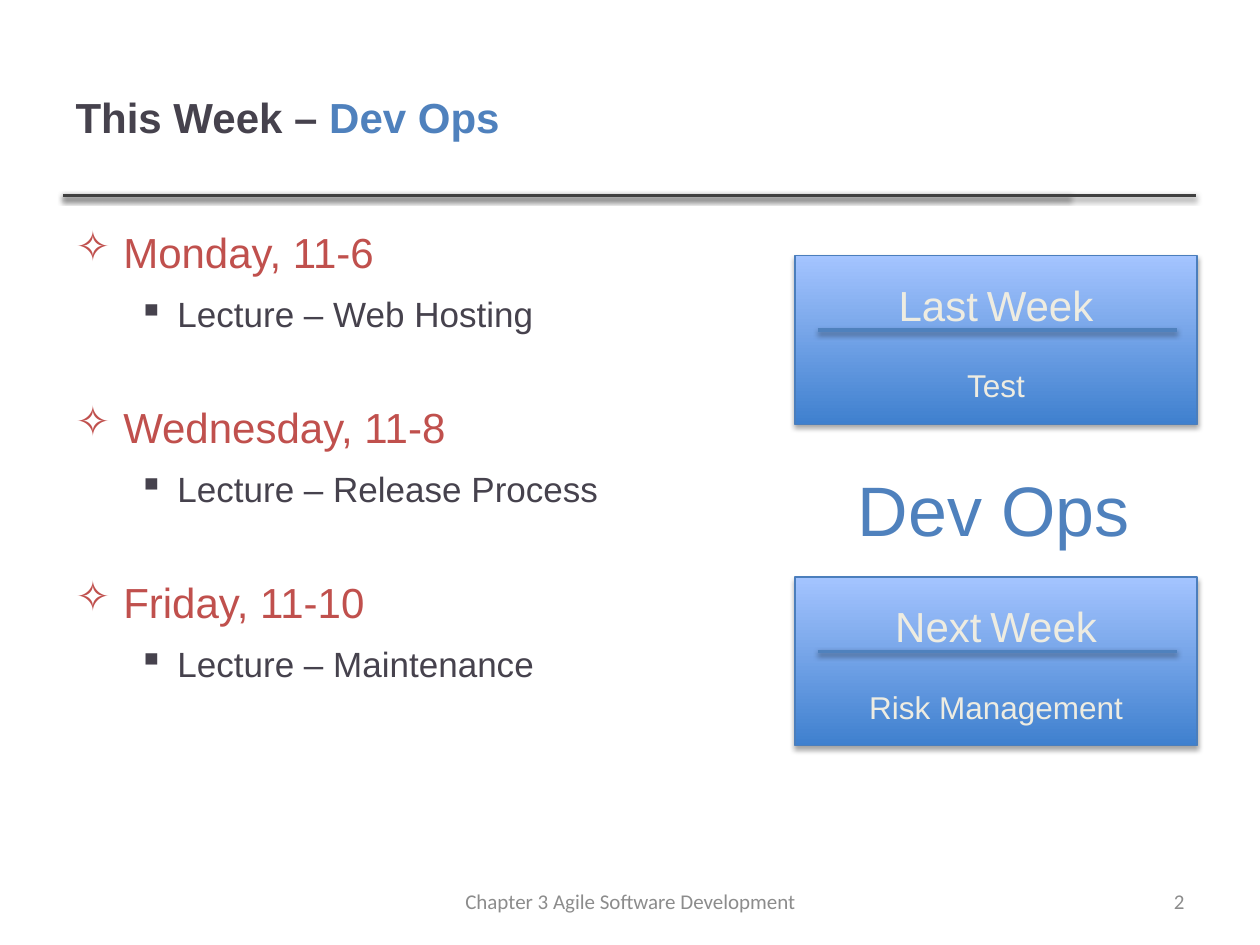
from lxml.etree import SubElement
from pptx import Presentation
from pptx.dml.color import RGBColor
from pptx.enum.shapes import MSO_CONNECTOR as Connector, MSO_SHAPE as Shape
from pptx.enum.text import MSO_ANCHOR as Anchor, PP_ALIGN as Align
from pptx.oxml.ns import qn
from pptx.util import Inches, Pt

WIDTH, HEIGHT = Inches(10), Inches(7.5)
COLUMNS, ROWS = 20, 15
INK, BLUE, RED, CREAM, GREY = "46424D", "4F81BD", "C0504D", "EEECE1", "8C8C8C"
SCHEDULE = [
    ("Monday, 11-6", "Lecture – Web Hosting"),
    ("Wednesday, 11-8", "Lecture – Release Process"),
    ("Friday, 11-10", "Lecture – Maintenance"),
]
PANELS = [("Next", "Risk Management", 9.16), ("Last", "Test", 4.06)]
PANEL_LEFT, PANEL_WIDTH = 12.62, 6.38


def color(value):
    return RGBColor.from_string(value)


def grid(left, top, width, height):
    across, down = WIDTH / COLUMNS, HEIGHT / ROWS
    return [round(n) for n in (left * across, top * down, width * across, height * down)]


def add_shadow(element, opacity, distance):
    properties = element._element.spPr
    for old in properties.findall(qn("a:effectLst")):
        properties.remove(old)
    effects = SubElement(properties, qn("a:effectLst"))
    shadow = SubElement(effects, qn("a:outerShdw"), blurRad=str(Pt(3.1)),
                        dist=str(Pt(distance)), dir="5400000", rotWithShape="0")
    black = SubElement(shadow, qn("a:srgbClr"), val="000000")
    SubElement(black, qn("a:alpha"), val=str(opacity * 1000))


def add_rule(shapes, left, right, row, hue):
    x, y, length, _ = grid(left, row, right - left, 0)
    rule = shapes.add_connector(Connector.STRAIGHT, x, y, x + length, y)
    rule.line.color.rgb = color(hue)
    rule.line.width = Pt(2)
    add_shadow(rule, 38, 1.6)


def write(paragraph, text, size=24, hue=INK, font="Arial", bold=False,
          align=Align.LEFT, before=0, after=0):
    paragraph.alignment = align
    paragraph.space_before, paragraph.space_after = Pt(before), Pt(after)
    run = paragraph.add_run()
    run.text = text
    run.font.size, run.font.name, run.font.bold = Pt(size), font, bold
    run.font.color.rgb = color(hue)


def add_frame(shapes, place, anchor=Anchor.TOP, wrap=True):
    frame = shapes.add_textbox(*grid(*place)).text_frame
    frame.word_wrap, frame.vertical_anchor = wrap, anchor
    return frame


def add_bullet(paragraph, mark, indent, hanging):
    properties = paragraph._p.get_or_add_pPr()
    properties.set("marL", str(Inches(indent)))
    properties.set("indent", str(-Inches(hanging)))
    SubElement(properties, qn("a:buChar"), char=mark)


def add_title(slide):
    title = slide.shapes.title
    title.left, title.top, title.width, title.height = grid(1, 0.6, 15.96, 2.5)
    title.text_frame.vertical_anchor = Anchor.MIDDLE
    heading = title.text_frame.paragraphs[0]
    write(heading, "This Week – ", bold=True)
    write(heading, "Dev Ops", hue=BLUE, bold=True)


def add_schedule(shapes):
    frame = add_frame(shapes, (1, 3.5, 9.82, 9.9))
    for index, (day, lecture) in enumerate(SCHEDULE):
        date = frame.add_paragraph() if index else frame.paragraphs[0]
        write(date, day, hue=RED, before=35 if index else 6, after=6)
        add_bullet(date, "✧", 0.38, 0.38)
        topic = frame.add_paragraph()
        topic.level = 1
        write(topic, lecture, size=20, before=3, after=3)
        add_bullet(topic, "▪", 0.81, 0.31)


def add_panel(slide, week, subject, row):
    shapes = slide.shapes.add_group_shape().shapes
    card = shapes.add_shape(Shape.RECTANGLE, *grid(PANEL_LEFT, row, PANEL_WIDTH, 2.68))
    card.fill.gradient()
    card.fill.gradient_angle = 90
    for stop, hue, position in zip(card.fill.gradient_stops, ("3F80CE", "A4C4FF"), (0, 1)):
        stop.color.rgb = color(hue)
        stop.position = position
    card.line.color.rgb = color("4B7EBC")
    card.line.width = Pt(0.75)
    add_shadow(card, 35, 1.8)
    frame = add_frame(shapes, (PANEL_LEFT, row + 0.28, PANEL_WIDTH, 2.22))
    for text, size in ((week, 24), (" ", 18), ("Week", 24)):
        write(frame.paragraphs[0], text, size=size, hue=CREAM, align=Align.CENTER)
    write(frame.add_paragraph(), subject, size=18, hue=CREAM, align=Align.CENTER, before=20.7)
    add_rule(shapes, PANEL_LEFT + 0.36, PANEL_LEFT + 6.06, row + 1.18, BLUE)


def add_footer(shapes):
    notes = [("Chapter 3 Agile Software Development", 6.84, 6.34, Align.CENTER),
             ("2", 14.34, 4.66, Align.RIGHT)]
    for text, left, width, align in notes:
        frame = add_frame(shapes, (left, 13.9, width, 0.8), Anchor.MIDDLE)
        write(frame.paragraphs[0], text, size=12, hue=GREY, font="Calibri", align=align)


def main():
    deck = Presentation()
    deck.slide_width, deck.slide_height = WIDTH, HEIGHT
    slide = deck.slides.add_slide(deck.slide_layouts[5])
    for right in (16.98, 18.98):
        add_rule(slide.shapes, 1, right, 3.1, "404040")
    add_title(slide)
    add_schedule(slide.shapes)
    add_footer(slide.shapes)
    for week, subject, row in PANELS:
        add_panel(slide, week, subject, row)
    theme = add_frame(slide.shapes, (13.42, 7.3, 4.76, 1.54), wrap=False)
    write(theme.paragraphs[0], "Dev Ops", size=40, hue=BLUE)
    deck.save("out.pptx")


main()
